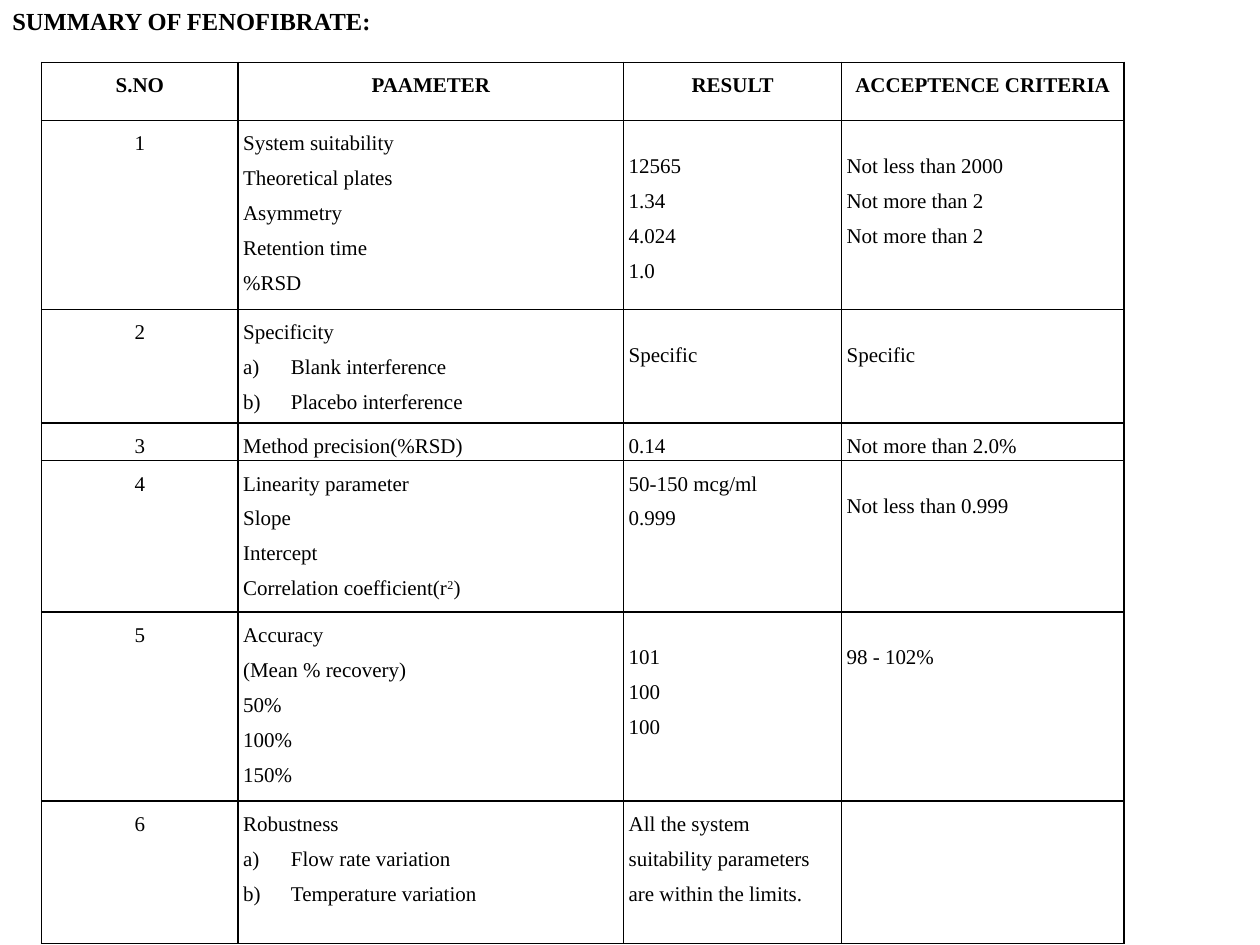
import pptx
import pptx.util
import pptx.dml.color
import pptx.enum.text
import pptx.oxml.ns
import lxml.etree

THEME = {
    "font": "Times New Roman",
    "ink": pptx.dml.color.RGBColor(0, 0, 0),
    "title_size": pptx.util.Pt(14),
    "body_size": pptx.util.Pt(12),
    "rule_width": pptx.util.Pt(1),
}
ALIGN = pptx.enum.text.PP_ALIGN
qn = pptx.oxml.ns.qn

deck = pptx.Presentation()
deck.slide_width = pptx.util.Inches(10)
deck.slide_height = pptx.util.Inches(7.5)
W, H = deck.slide_width, deck.slide_height
slide = deck.slides.add_slide(deck.slide_layouts[6])


def write(frame, lines, size=THEME["body_size"], bold=False, align=ALIGN.LEFT,
          spacing=1.5, lettered=False):
    """Write one paragraph per line; text between ^ marks is raised.

    With lettered, the lines after the first become a), b), ...
    """
    for number, line in enumerate(lines):
        paragraph = frame.add_paragraph() if number else frame.paragraphs[0]
        paragraph.alignment = align
        paragraph.line_spacing = spacing
        for part, text in enumerate(line.split("^")):
            run = paragraph.add_run()
            run.text = text
            run.font.name = THEME["font"]
            run.font.size = size
            run.font.bold = bold
            run.font.color.rgb = THEME["ink"]
            if part % 2:
                run.font._element.set("baseline", "30000")
        if lettered and number:
            properties = paragraph._p.get_or_add_pPr()
            indent = pptx.util.Inches(0.38)
            properties.set("marL", str(indent))
            properties.set("indent", str(-indent))
            lettering = lxml.etree.SubElement(properties, qn("a:buAutoNum"))
            lettering.set("type", "alphaLcParenR")


def rule_cell(cell):
    """Draw a thin solid border on all four sides, with no fill."""
    properties = cell._tc.get_or_add_tcPr()
    for side in ("lnL", "lnR", "lnT", "lnB"):
        border = lxml.etree.SubElement(properties, qn("a:" + side))
        border.set("w", str(THEME["rule_width"]))
        fill = lxml.etree.SubElement(border, qn("a:solidFill"))
        lxml.etree.SubElement(fill, qn("a:srgbClr")).set("val", str(THEME["ink"]))
    cell.fill.background()


# Title
title = slide.shapes.add_textbox(0, 0, int(W * 0.31), int(H * 0.06)).text_frame
title.word_wrap = False
write(title, ["SUMMARY OF FENOFIBRATE:"], size=THEME["title_size"], bold=True, spacing=1.0)

# Summary content: parameter lines, result lines, criteria lines
headings = ["S.NO", "PAAMETER", "RESULT", "ACCEPTENCE CRITERIA"]
tests = [
    (["System suitability", "Theoretical plates", "Asymmetry", "Retention time", "%RSD"],
     ["12565", "1.34", "4.024", "1.0"],
     ["Not less than 2000", "Not more than 2", "Not more than 2"]),
    (["Specificity", "Blank interference", "Placebo interference"],
     ["Specific"], ["Specific"]),
    (["Method precision(%RSD)"], ["0.14"], ["Not more than 2.0%"]),
    (["Linearity parameter", "Slope", "Intercept", "Correlation coefficient(r^2^)"],
     ["50-150 mcg/ml", "0.999"], ["Not less than 0.999"]),
    (["Accuracy", "(Mean % recovery)", "50%", "100%", "150%"],
     ["101", "100", "100"], ["98 - 102%"]),
    (["Robustness", "Flow rate variation", "Temperature variation"],
     ["All the system suitability parameters are within the limits."], []),
]
lettered_tests = {"Specificity", "Robustness"}
# Results and criteria that start below the test's own name
lowered = {(1, 2), (1, 3), (2, 2), (2, 3), (4, 3), (5, 2), (5, 3)}

# Table grid
column_weights = [1.56, 3.06, 1.73, 2.24]
row_weights = [0.46, 1.5, 0.9, 0.3, 1.2, 1.5, 1.13]
table_width, table_height = W * 0.859, H * 0.932
summary = slide.shapes.add_table(
    len(row_weights), len(column_weights),
    int(W * 0.033), int(H * 0.066), int(table_width), int(table_height)).table
summary.first_row = False
summary.horz_banding = False
for column, weight in zip(summary.columns, column_weights):
    column.width = int(table_width * weight / sum(column_weights))
for row, weight in zip(summary.rows, row_weights):
    row.height = int(table_height * weight / sum(row_weights))

# Table cells
entries = [[[heading] for heading in headings]]
entries += [[[str(number)], *test] for number, test in enumerate(tests, 1)]
for r, entry in enumerate(entries):
    for c, lines in enumerate(entry):
        cell = summary.cell(r, c)
        cell.margin_left = cell.margin_right = pptx.util.Inches(0.04)
        cell.margin_top = pptx.util.Inches(0.18 if (r, c) in lowered else 0)
        cell.margin_bottom = 0
        rule_cell(cell)
        write(cell.text_frame, lines, bold=r == 0,
              align=ALIGN.CENTER if r == 0 or c == 0 else ALIGN.LEFT,
              lettered=bool(lines) and lines[0] in lettered_tests)

deck.save("out.pptx")
